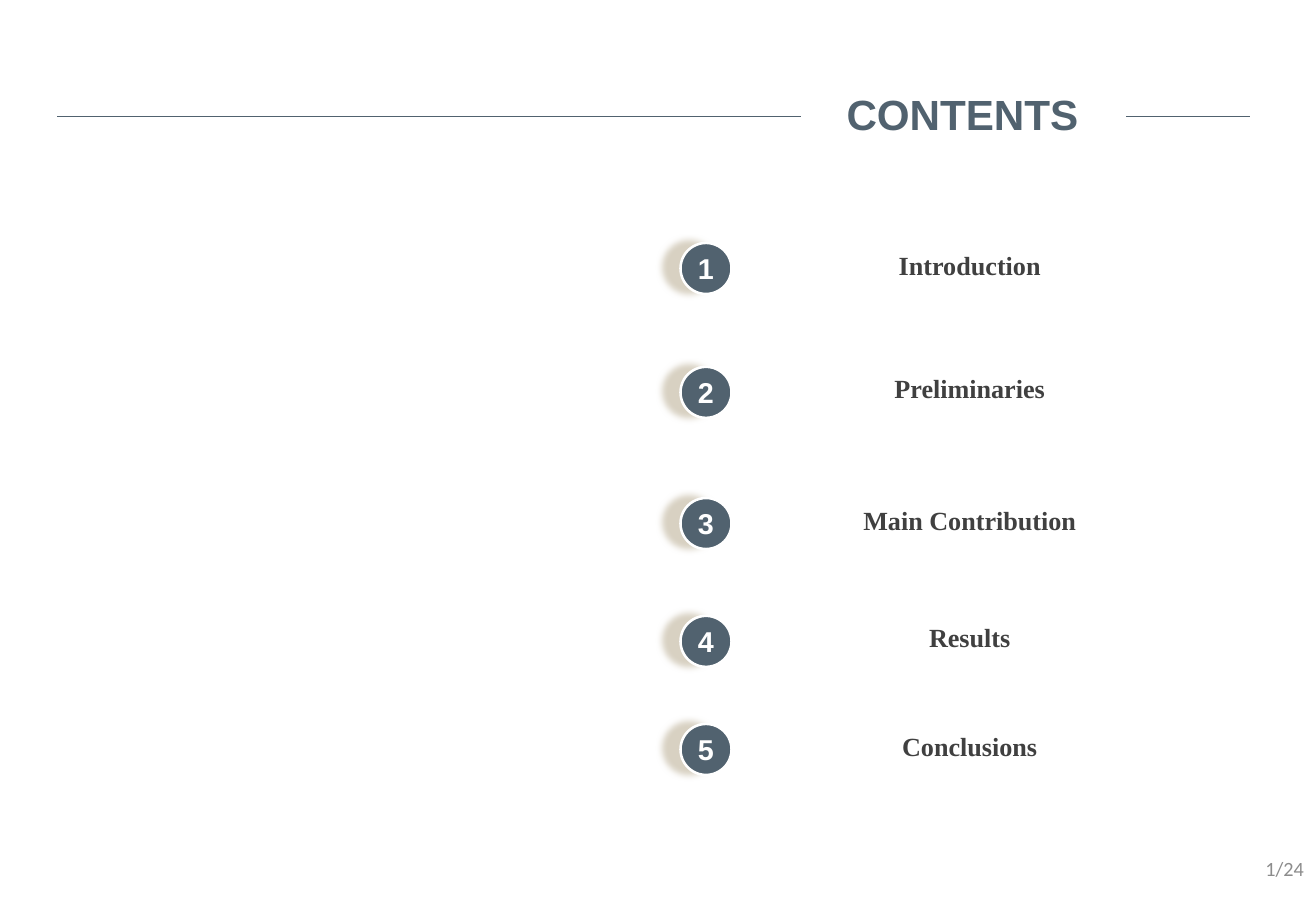
from lxml import etree
from pptx import Presentation
from pptx.dml.color import RGBColor
from pptx.enum.shapes import MSO_CONNECTOR, MSO_SHAPE
from pptx.enum.text import MSO_ANCHOR, PP_ALIGN
from pptx.oxml import parse_xml
from pptx.oxml.ns import nsdecls, qn
from pptx.util import Inches, Pt

LINE, OVAL = MSO_CONNECTOR.STRAIGHT, MSO_SHAPE.OVAL
TOP, MIDDLE = MSO_ANCHOR.TOP, MSO_ANCHOR.MIDDLE
CENTER, RIGHT = PP_ALIGN.CENTER, PP_ALIGN.RIGHT
TITLE_ONLY = 5

SLATE, WHITE, SAND = "51626F", "FFFFFF", "D9D2C3"
TITLE_FONT = {"name": "Arial", "size": Pt(25), "bold": True}
NUMBER_FONT = {"name": "Arial", "size": Pt(17), "bold": True}
TOPIC_FONT = {"name": "Times New Roman", "size": Pt(15.5), "bold": True}
PAGE_FONT = {"name": "Calibri", "size": Pt(12), "bold": False}

TOPICS = [
    ("Introduction", 2.0),
    ("Preliminaries", 3.02),
    ("Main Contribution", 4.1),
    ("Results", 5.07),
    ("Conclusions", 5.96),
]


def rgb(color):
    return RGBColor.from_string(color)


def write(s, text, font, color, align=CENTER, anchor=TOP):
    tf = s.text_frame
    tf.word_wrap = True
    tf.vertical_anchor = anchor
    p = tf.paragraphs[0]
    p.alignment = align
    r = p.add_run()
    r.text = text
    for name, value in font.items():
        setattr(r.font, name, value)
    r.font.color.rgb = rgb(color)


def add_text(shapes, box, *args, **kwargs):
    write(shapes.add_textbox(*map(Inches, box)), *args, **kwargs)


def add_rule(shapes, left, right, y):
    s = shapes.add_connector(LINE, *map(Inches, (left, y, right, y)))
    s.line.color.rgb = rgb(SLATE)
    s.line.width = Pt(0.5)
    etree.SubElement(s._element.spPr, qn("a:effectLst"))


def add_soft_shadow(s):
    """Cast a sand-coloured shadow to the left of the shape."""
    s._element.spPr.append(parse_xml(
        f'<a:effectLst {nsdecls("a")}>'
        f'<a:outerShdw blurRad="{Pt(4)}" dist="{Pt(10)}" dir="{185 * 60000}" '
        f'algn="ctr" rotWithShape="0"><a:srgbClr val="{SAND}"/>'
        '</a:outerShdw></a:effectLst>'))


def add_header(slide, left, top, width):
    """Place the title with a rule on either side of it."""
    title = slide.shapes.title
    title.left, title.top = Inches(left + 5.23), Inches(top)
    title.width, title.height = Inches(4.44), Inches(0.52)
    write(title, "CONTENTS", TITLE_FONT, SLATE)
    y = top + 0.28
    add_rule(slide.shapes, left, left + 6.12, y)
    add_rule(slide.shapes, left + width - 1.02, left + width, y)


def add_topic(slide, left, top, number, topic):
    """Group a numbered disc with its topic."""
    shapes = slide.shapes.add_group_shape().shapes
    size = 0.42
    s = shapes.add_shape(OVAL, *map(Inches, (left, top, size, size)))
    s.fill.solid()
    s.fill.fore_color.rgb = rgb(SLATE)
    s.line.color.rgb = rgb(WHITE)
    s.line.width = Pt(1.5)
    add_soft_shadow(s)
    tf = s.text_frame
    tf.margin_left = tf.margin_right = tf.margin_top = tf.margin_bottom = 0
    write(s, str(number), NUMBER_FONT, WHITE, anchor=MIDDLE)
    add_text(shapes, (left + 0.43, top, 3.9, 0.36), topic, TOPIC_FONT, "404040")


def main():
    prs = Presentation()
    prs.slide_width, prs.slide_height = Inches(10.83), Inches(7.5)
    slide = prs.slides.add_slide(prs.slide_layouts[TITLE_ONLY])
    add_header(slide, 0.47, 0.68, 9.82)
    for number, (topic, top) in enumerate(TOPICS, 1):
        add_topic(slide, 5.6, top, number, topic)
    add_text(slide.shapes, (8.4, 6.95, 2.43, 0.4), "1/24", PAGE_FONT, "8C8C8C",
             align=RIGHT, anchor=MIDDLE)
    prs.save("out.pptx")


if __name__ == "__main__":
    main()
